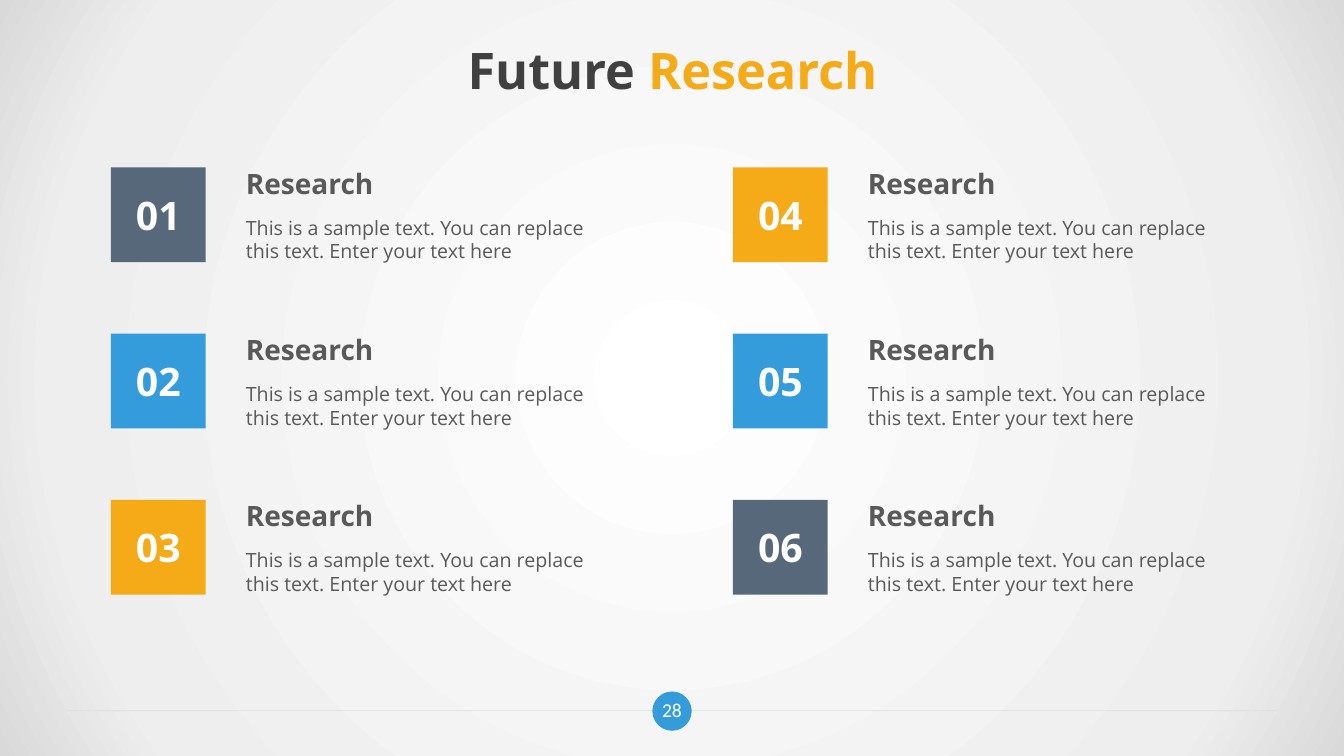
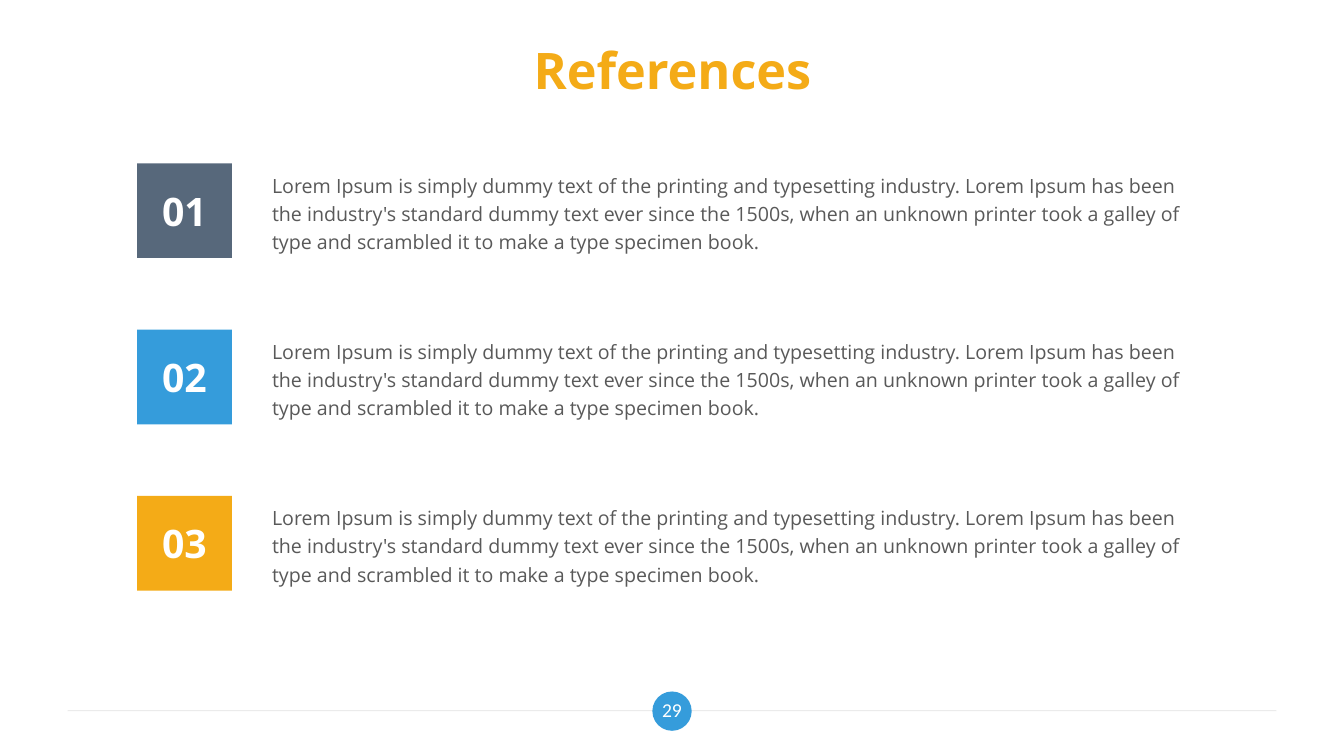
from dataclasses import dataclass

from lxml.etree import SubElement
from pptx import Presentation
from pptx.dml.color import RGBColor
from pptx.enum.shapes import MSO_CONNECTOR, MSO_SHAPE
from pptx.enum.text import MSO_ANCHOR, MSO_AUTO_SIZE, PP_ALIGN
from pptx.oxml import parse_xml
from pptx.oxml.ns import nsdecls, qn
from pptx.util import Pt

EMU_PER_PX = 9144  # 100 px to the inch


@dataclass(frozen=True)
class Theme:
    slate: str = "57687B"
    blue: str = "359CDB"
    amber: str = "F4AB17"
    dark: str = "404040"
    body: str = "595959"
    white: str = "FFFFFF"
    rule: str = "D9D9D9"
    backdrop: tuple = ((0, "FFFFFF"), (81, "EEEEEE"), (100, "D9D9D9"))
    font: str = "Open Sans"
    number_font: str = "Calibri"
    title_size: int = 36
    badge_size: int = 28
    heading_size: int = 20
    text_size: int = 14


theme = Theme()


def px(*lengths):
    return [length * EMU_PER_PX for length in lengths]


def add_text(slide, box, runs, size, bold=False, font=theme.font, preset=None,
             fill=None, centred=False, middle=False, spacing=None, grow=False):
    """Add a text box, or a filled preset shape, holding one paragraph of (text, colour) runs."""
    if preset is None:
        shape = slide.shapes.add_textbox(*px(*box))
    else:
        shape = slide.shapes.add_shape(preset, *px(*box))
        shape.shadow.inherit = False
        shape.fill.solid()
        shape.fill.fore_color.rgb = RGBColor.from_string(fill)
        shape.line.fill.background()
    frame = shape.text_frame
    frame.word_wrap = True
    frame.auto_size = MSO_AUTO_SIZE.SHAPE_TO_FIT_TEXT if grow else MSO_AUTO_SIZE.NONE
    frame.vertical_anchor = MSO_ANCHOR.MIDDLE if middle else MSO_ANCHOR.TOP
    paragraph = frame.paragraphs[0]
    paragraph.alignment = PP_ALIGN.CENTER if centred else PP_ALIGN.LEFT
    if spacing:
        paragraph.line_spacing = spacing
    for text, colour in runs:
        run = paragraph.add_run()
        run.text = text
        run.font.name = font
        run.font.size = Pt(size)
        run.font.bold = bold
        run.font.color.rgb = RGBColor.from_string(colour)
    return shape


presentation = Presentation()
presentation.slide_width, presentation.slide_height = px(1333, 750)

# Content: page number, title runs, badge columns, first badge top, badge colours
research_colours = [theme.slate, theme.blue, theme.amber, theme.amber, theme.blue, theme.slate]
pages = [
    (28, [("Future ", theme.dark), ("Research", theme.amber)], [110, 727], 166, research_colours),
    (29, [("References", theme.amber)], [136], 162, research_colours[:3]),
]
sample_text = "This is a sample text. You can replace this text. Enter your text here"
reference_text = (
    "Lorem Ipsum is simply dummy text of the printing and typesetting industry. "
    "Lorem Ipsum has been the industry's standard dummy text ever since the 1500s, "
    "when an unknown printer took a galley of type and scrambled it to make a type specimen book."
)
ROWS, ROW_PITCH, BADGE, TEXT_OFFSET = 3, 165, 94, 124

for number, title, columns, first_top, colours in pages:
    slide = presentation.slides.add_slide(presentation.slide_layouts[6])
    is_research = len(columns) == 2

    # Background: radial gradient on the research slide, white on the other
    background = slide.background.fill
    if is_research:
        background.gradient()
        gradient = slide.element.find(".//" + qn("a:gradFill"))
        stops = "".join(
            f'<a:gs pos="{position * 1000}"><a:srgbClr val="{colour}"/></a:gs>'
            for position, colour in theme.backdrop
        )
        gradient.getparent().replace(gradient, parse_xml(
            f'<a:gradFill {nsdecls("a")} rotWithShape="1"><a:gsLst>{stops}</a:gsLst>'
            '<a:path path="circle"><a:fillToRect l="50000" t="50000" r="50000" b="50000"/>'
            "</a:path></a:gradFill>"
        ))
    else:
        background.solid()
        background.fore_color.rgb = RGBColor.from_string(theme.white)

    # Footer: half-transparent rule behind the page number
    rule = slide.shapes.add_connector(MSO_CONNECTOR.STRAIGHT, *px(67, 705, 1266, 705))
    rule.line.width = Pt(0.75)
    rule.line.color.rgb = RGBColor.from_string(theme.rule)
    properties = rule.element.spPr
    SubElement(properties.find(".//" + qn("a:srgbClr")), qn("a:alpha"), val="50000")
    SubElement(properties, qn("a:effectLst"))
    page_number = add_text(
        slide, (647, 686, 39, 39), [(str(number), theme.white)], theme.text_size,
        font=theme.number_font, preset=MSO_SHAPE.OVAL, fill=theme.blue, centred=True, middle=True)
    frame = page_number.text_frame
    frame.margin_left = frame.margin_right = frame.margin_top = 0
    frame.margin_bottom = px(3)[0]

    # Title
    add_text(slide, (67, 30, 1200, 78), title, theme.title_size,
             bold=True, centred=True, middle=True)

    # Numbered entries, filled column by column
    for index, colour in enumerate(colours):
        column, row = divmod(index, ROWS)
        left = columns[column]
        top = first_top + row * ROW_PITCH
        text_left = left + TEXT_OFFSET
        add_text(slide, (left, top, BADGE, BADGE), [(f"{index + 1:02}", theme.white)],
                 theme.badge_size, bold=True, preset=MSO_SHAPE.RECTANGLE, fill=colour,
                 centred=True, middle=True)
        if is_research:
            add_text(slide, (text_left, top - 6, 372, 44), [("Research", theme.body)],
                     theme.heading_size, bold=True, grow=True)
            add_text(slide, (text_left, top + 43, 372, 57), [(sample_text, theme.body)],
                     theme.text_size, grow=True)
        else:
            add_text(slide, (text_left, top + 1, 936, 93), [(reference_text, theme.body)],
                     theme.text_size, middle=True, spacing=1.2, grow=True)

presentation.save("out.pptx")
